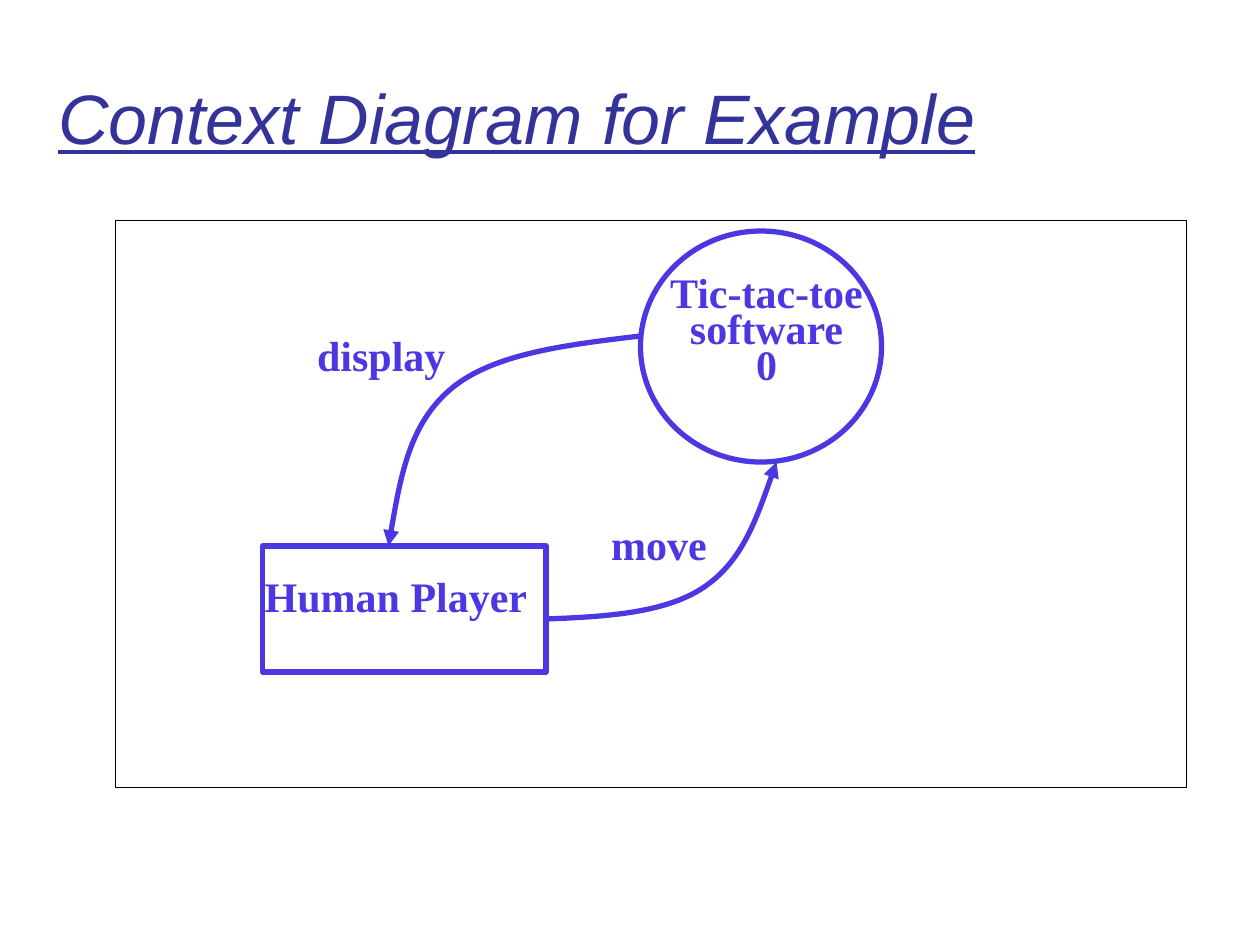
from lxml.etree import SubElement
from pptx import Presentation
from pptx.dml.color import RGBColor
from pptx.enum.shapes import MSO_SHAPE as Preset
from pptx.enum.text import MSO_ANCHOR as Anchor, PP_ALIGN as Align
from pptx.oxml.ns import qn
from pptx.util import Pt

NAVY, VIOLET, BLACK = "333399", "4C38E2", "000000"


def color(hex_string):
    return RGBColor.from_string(hex_string)


def write(frame, text, font="Times New Roman", size=24, ink=VIOLET, bold=False,
          italic=False, underline=False, align=Align.LEFT, spacing=1.0,
          anchor=Anchor.TOP):
    """Fill a text frame with one formatted paragraph."""
    frame.word_wrap = True
    frame.vertical_anchor = anchor
    frame.margin_left = frame.margin_right = Pt(1.25)
    frame.margin_top = frame.margin_bottom = Pt(3.6)
    paragraph = frame.paragraphs[0]
    paragraph.text = text
    paragraph.alignment = align
    paragraph.line_spacing = spacing
    paragraph.space_before = Pt(0)
    for run in paragraph.runs:
        run.font.name, run.font.size = font, Pt(size)
        run.font.bold, run.font.italic = bold, italic
        run.font.underline = underline
        run.font.color.rgb = color(ink)


class ContextDiagram:
    """Holds the slide and the shared style of its parts."""

    line_weight = 3

    def __init__(self, slide):
        self.slide = slide
        self.shapes = slide.shapes

    def title(self, text, left, top, width, height):
        heading = self.shapes.title
        heading.left, heading.top = Pt(left), Pt(top)
        heading.width, heading.height = Pt(width), Pt(height)
        write(heading.text_frame, text, font="Arial", size=40, ink=NAVY,
              italic=True, underline=True, anchor=Anchor.MIDDLE)

    def outline(self, shape, ink=VIOLET, weight=line_weight):
        shape.shadow.inherit = False
        shape.fill.background()
        shape.line.color.rgb = color(ink)
        shape.line.width = Pt(weight)

    def node(self, preset, left, top, width, height, **line):
        shape = self.shapes.add_shape(preset, Pt(left), Pt(top), Pt(width), Pt(height))
        if preset == Preset.ROUNDED_RECTANGLE:
            shape.adjustments[0] = 0
        self.outline(shape, **line)

    def label(self, text, left, top, width, height, align=Align.LEFT):
        box = self.shapes.add_textbox(Pt(left), Pt(top), Pt(width), Pt(height))
        write(box.text_frame, text, bold=True, align=align, spacing=0.72)

    def flow(self, start, *points):
        """Draw a curved arrow; each three points make one Bezier segment."""
        builder = self.shapes.build_freeform(Pt(start[0]), Pt(start[1]))
        builder.add_line_segments([(Pt(x), Pt(y)) for x, y in points], close=False)
        arrow = builder.convert_to_shape()
        self.outline(arrow)
        # Turn the straight segments into cubic curves
        path = next(arrow.element.iter(qn("a:path")))
        segments = path.findall(qn("a:lnTo"))
        for first in range(0, len(segments), 3):
            curve = SubElement(path, qn("a:cubicBezTo"))
            for segment in segments[first:first + 3]:
                curve.append(segment[0])
                path.remove(segment)
        # Arrowhead at the end
        line = arrow.element.spPr.find(qn("a:ln"))
        SubElement(line, qn("a:tailEnd"), type="triangle")


def main():
    deck = Presentation()
    deck.slide_width, deck.slide_height = Pt(720), Pt(540)
    diagram = ContextDiagram(deck.slides.add_slide(deck.slide_layouts[5]))
    diagram.title("Context Diagram for Example", 32, 14.4, 612, 104.4)

    # Frame, process and external entity
    diagram.node(Preset.ROUNDED_RECTANGLE, 66, 126, 612, 324, ink=BLACK, weight=0.75)
    diagram.node(Preset.OVAL, 366, 132, 137.75, 132)
    diagram.node(Preset.ROUNDED_RECTANGLE, 150, 312, 162, 72)
    diagram.label("Human Player", 150, 330, 168, 36)
    diagram.label("Tic-tac-toe software\v0", 372, 156, 132, 93.6, align=Align.CENTER)

    # Data flows
    diagram.flow((366, 192), (324, 197), (282, 202), (258, 222),
                 (234, 242), (228, 277), (222, 312))
    diagram.flow((312, 353.75), (345.75, 352.5), (380, 350.5), (402, 335.75),
                 (424, 321), (433.75, 292.5), (443.75, 264))
    diagram.label("display", 180, 192, 108, 36)
    diagram.label("move", 348, 300, 126, 36)

    deck.save("out.pptx")


if __name__ == "__main__":
    main()
